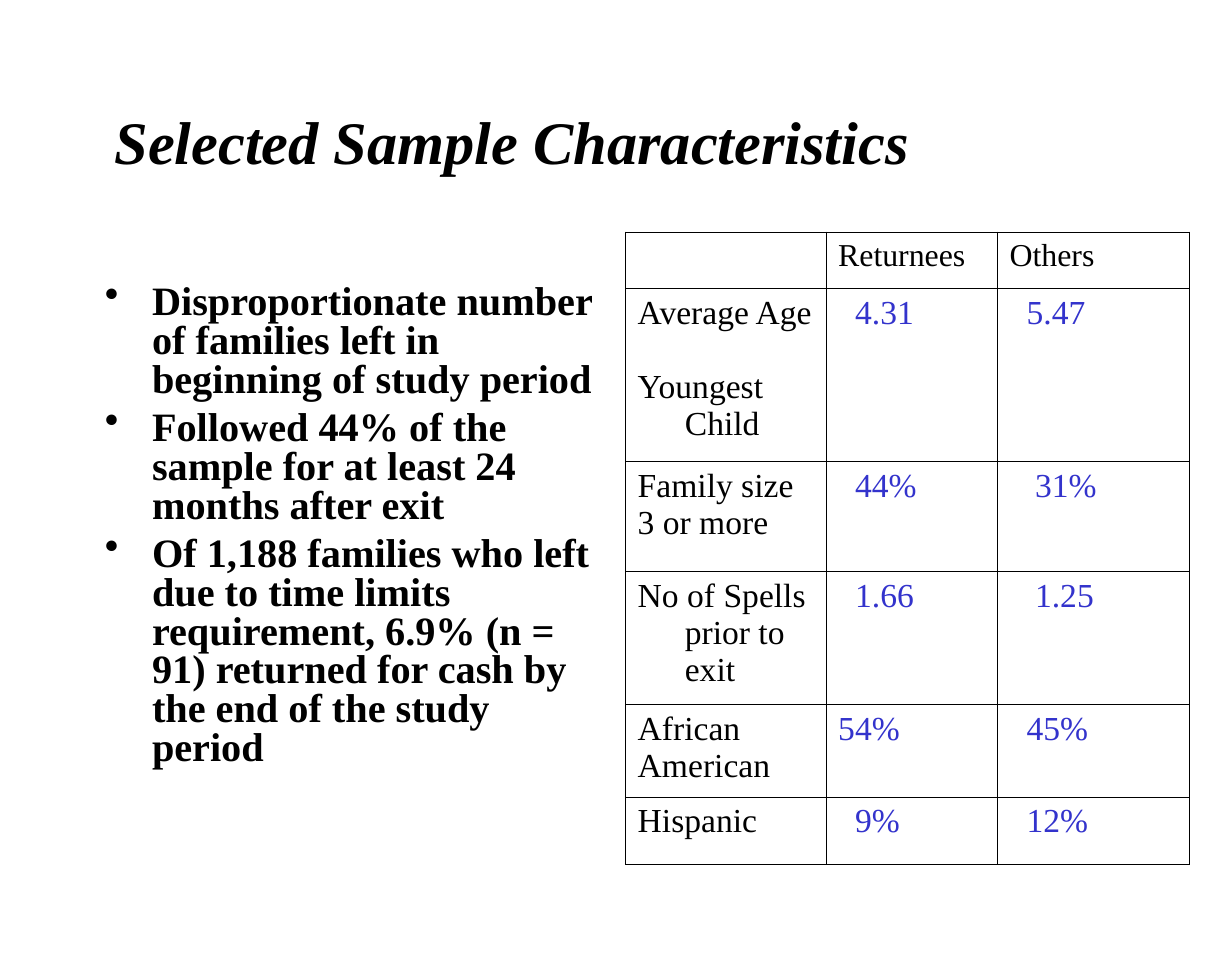
from dataclasses import dataclass

from lxml.etree import SubElement
from pptx import Presentation
from pptx.dml.color import RGBColor
from pptx.enum.text import MSO_ANCHOR
from pptx.oxml.ns import qn
from pptx.slide import Slide
from pptx.util import Inches, Pt

BLACK = RGBColor(0x00, 0x00, 0x00)
BLUE = RGBColor(0x33, 0x33, 0xCC)

HANGING = 0.39
SPACE_WIDTH = 0.07  # one space at the table's text size

TITLE = "Selected Sample Characteristics"
FINDINGS = [
    "Disproportionate number of families left in beginning of study period",
    "Followed 44% of the sample for at least 24 months after exit",
    "Of 1,188 families who left due to time limits requirement, 6.9% (n = 91) "
    "returned for cash by the end of the study period",
]
COLUMN_WIDTHS = [1.66, 1.42, 1.59]
HEADINGS = ["", "Returnees", "Others"]
HEADING_HEIGHT = 0.47
# Row height, label lines, gap between lines in points, (value, indent in spaces)
ROWS = [
    (1.43, ["Average Age", "Youngest Child"], 22, [("4.31", 2), ("5.47", 2)]),
    (0.91, ["Family size", "3 or more"], 0, [("44%", 2), ("31%", 3)]),
    (1.10, ["No of Spells prior to exit"], 0, [("1.66", 2), ("1.25", 3)]),
    (0.77, ["African", "American"], 0, [("54%", 0), ("45%", 2)]),
    (0.56, ["Hispanic"], 0, [("9%", 2), ("12%", 2)]),
]


@dataclass
class SlideBuilder:
    slide: Slide
    font_name: str = "Times New Roman"
    border_width: float = 0.45

    def text_box(self, left, top, width, height, anchor):
        box = self.slide.shapes.add_textbox(
            Inches(left), Inches(top), Inches(width), Inches(height))
        frame = box.text_frame
        frame.word_wrap = True
        frame.vertical_anchor = anchor
        return frame

    def paragraphs(self, frame, lines, size, color=BLACK, bold=False, italic=False,
                   margin=0, hanging=0, gap=0, line_spacing=None, bullet=None):
        for index, line in enumerate(lines):
            para = frame.add_paragraph() if index else frame.paragraphs[0]
            para.text = line
            if line_spacing:
                para.line_spacing = line_spacing
            if index and gap:
                para.space_before = Pt(gap)
            properties = para._p.get_or_add_pPr()
            properties.set("marL", str(Inches(margin)))
            properties.set("indent", str(Inches(-hanging)))
            if bullet:
                SubElement(properties, qn("a:buChar")).set("char", bullet)
            font = para.font
            font.name, font.size = self.font_name, Pt(size)
            font.bold, font.italic = bold, italic
            font.color.rgb = color

    def title(self, text):
        frame = self.text_box(0.85, 0.5, 8.67, 1.33, MSO_ANCHOR.MIDDLE)
        self.paragraphs(frame, [text], 36, bold=True, italic=True)

    def bullets(self, lines):
        frame = self.text_box(0.77, 2.31, 4.25, 4.8, MSO_ANCHOR.TOP)
        self.paragraphs(frame, lines, 24, bold=True, margin=HANGING,
                        hanging=HANGING, gap=6, line_spacing=0.8, bullet="•")

    def table(self, left, top, widths, heights):
        frame = self.slide.shapes.add_table(
            len(heights), len(widths), Inches(left), Inches(top),
            Inches(sum(widths)), Inches(sum(heights)))
        table = frame.table
        table.first_row = table.horz_banding = False
        for column, width in zip(table.columns, widths):
            column.width = Inches(width)
        for row, height in zip(table.rows, heights):
            row.height = Inches(height)
        for cell in table.iter_cells():
            self.outline(cell)
            cell.fill.background()
        return table

    def outline(self, cell):
        properties = cell._tc.get_or_add_tcPr()
        for side in ("lnL", "lnR", "lnT", "lnB"):
            line = SubElement(properties, qn(f"a:{side}"))
            line.set("w", str(Pt(self.border_width)))
            fill = SubElement(line, qn("a:solidFill"))
            SubElement(fill, qn("a:srgbClr")).set("val", str(BLACK))


def main():
    deck = Presentation()
    deck.slide_width, deck.slide_height = Inches(10.2), Inches(8)
    builder = SlideBuilder(deck.slides.add_slide(deck.slide_layouts[6]))

    # Title and findings
    builder.title(TITLE)
    builder.bullets(FINDINGS)

    # Comparison table
    heights = [HEADING_HEIGHT] + [row[0] for row in ROWS]
    table = builder.table(5.18, 1.92, COLUMN_WIDTHS, heights)
    for column, heading in enumerate(HEADINGS):
        if heading:
            builder.paragraphs(table.cell(0, column).text_frame, [heading], 19)
    for index, (_, label, gap, values) in enumerate(ROWS, start=1):
        builder.paragraphs(table.cell(index, 0).text_frame, label, 20,
                           margin=HANGING, hanging=HANGING, gap=gap)
        for column, (value, spaces) in enumerate(values, start=1):
            builder.paragraphs(table.cell(index, column).text_frame, [value], 20,
                               color=BLUE, margin=spaces * SPACE_WIDTH)

    deck.save("out.pptx")


if __name__ == "__main__":
    main()
